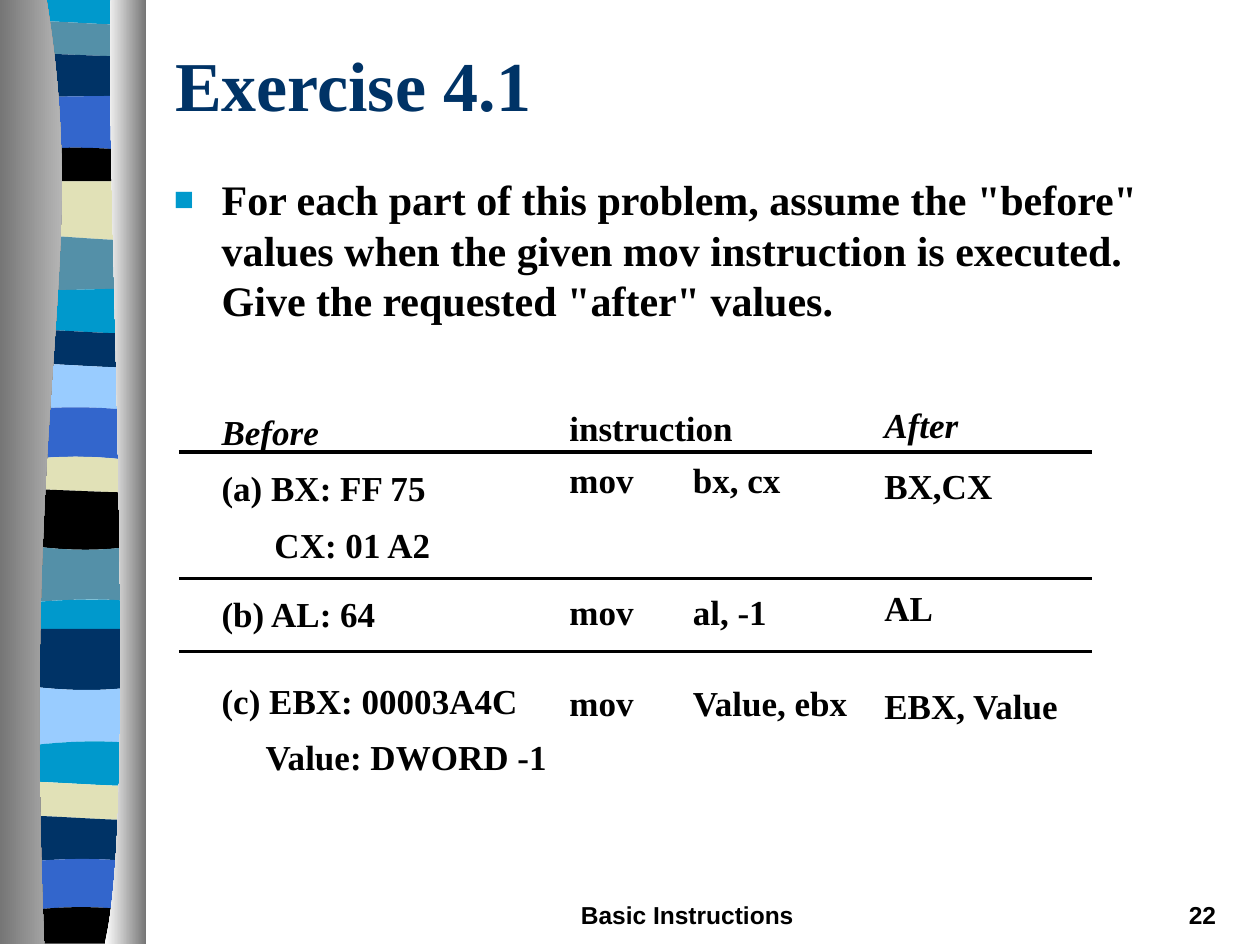
from lxml import etree
from pptx import Presentation
from pptx.dml.color import RGBColor
from pptx.enum.shapes import MSO_CONNECTOR, MSO_SHAPE
from pptx.enum.text import MSO_ANCHOR, MSO_AUTO_SIZE, PP_ALIGN
from pptx.oxml.ns import qn
from pptx.util import Inches, Pt

SERIF = "Times New Roman"
NAVY, BLUE, SKY, CYAN = "003366", "3366CC", "99CCFF", "0099CC"
TEAL, SAND, BLACK, GREY, WHITE = "5490A8", "E1E1B7", "000000", "767676", "FFFFFF"
color = RGBColor.from_string


def add_outline(points, curve_starts):
    """Add a closed freeform; three segments from each curve start form one Bezier curve."""
    corners = [(Inches(x), Inches(y)) for x, y in points]
    builder = slide.shapes.build_freeform(*corners[0])
    builder.add_line_segments(corners[1:], close=True)
    shape = builder.convert_to_shape()
    segments = list(shape._element.iter(qn("a:lnTo")))
    for start in curve_starts:
        curve = etree.Element(qn("a:cubicBezTo"))
        segments[start].addprevious(curve)
        for segment in segments[start:start + 3]:
            curve.append(segment[0])
            segment.getparent().remove(segment)
    shape.shadow.inherit = False
    shape.line.fill.background()
    return shape


def style(paragraph, text, size, hex_color=BLACK, name=SERIF, italic=False):
    paragraph.text = text
    font = paragraph.font
    font.name, font.size, font.bold, font.italic = name, Pt(size), True, italic
    font.color.rgb = color(hex_color)


presentation = Presentation()
presentation.slide_width, presentation.slide_height = Inches(10), Inches(7.5)
slide = presentation.slides.add_slide(presentation.slide_layouts[1])

# Ribbon stripes: colour, then top edge at the left, the bend of its middle, at the right
stripes = [
    (CYAN, 0, 0, 0), (TEAL, 0.16, 0, 0.2), (NAVY, 0.42, 0, 0.45),
    (BLUE, 0.77, 0, 0.76), (BLACK, 1.21, -0.05, 1.21), (SAND, 1.44, 0, 1.44),
    (TEAL, 1.86, 0, 1.91), (CYAN, 2.31, 0, 2.29), (NAVY, 2.61, 0, 2.65),
    (SKY, 2.88, 0, 2.92), (BLUE, 3.27, -0.05, 3.27), (SAND, 3.67, -0.06, 3.67),
    (BLACK, 3.88, 0, 3.91), (TEAL, 4.3, 0.07, 4.32), (CYAN, 4.8, -0.04, 4.78),
    (NAVY, 4.99, 0, 4.99), (SKY, 5.42, 0.06, 5.44), (CYAN, 5.94, -0.05, 5.91),
    (SAND, 6.2, 0, 6.24), (NAVY, 6.47, 0, 6.51), (BLUE, 6.86, -0.05, 6.85),
    (BLACK, 7.25, -0.06, 7.24), (None, 7.49, 0, 7.49),
]
edges = [[(0.05, left), (0.42, left + bend), (0.78, right + bend), (1.15, right)]
         for _, left, bend, right in stripes]
for (fill, *_), top, bottom in zip(stripes, edges, edges[1:]):
    stripe = add_outline(top + bottom[::-1], (0, 4))
    stripe.fill.solid()
    stripe.fill.fore_color.rgb = color(fill)

# Shaded columns on both sides of the ribbon: Bezier edge, outer side, gradient
columns = [
    ([(0.37, 0), (0.72, 2.16), (0.17, 2.96), (0.35, 7.49)], 0, GREY, "D3D3D3"),
    ([(0.88, 0), (0.83, 1.25), (1.11, 6.46), (0.83, 7.49)], 1.16, WHITE, GREY),
]
for edge, outer, start, end in columns:
    column = add_outline(edge + [(outer, 7.49), (outer, 0)], (0,))
    column.fill.gradient()
    column.fill.gradient_angle = 0
    for stop, hex_color in zip(column.fill.gradient_stops, (start, end)):
        stop.color.rgb = color(hex_color)

# Title
title = slide.shapes.title
title.left, title.top, title.width, title.height = map(Inches, (1.29, 0.25, 8.5, 0.83))
title.text_frame.vertical_anchor = MSO_ANCHOR.MIDDLE
title.text_frame.auto_size = MSO_AUTO_SIZE.NONE
paragraph = title.text_frame.paragraphs[0]
paragraph.alignment = PP_ALIGN.LEFT
style(paragraph, "Exercise 4.1", 40, NAVY)

# Task with a square bullet
body = slide.placeholders[1]
body.left, body.top, body.width, body.height = map(Inches, (1.28, 1.33, 7.97, 1.42))
body.text_frame.auto_size = MSO_AUTO_SIZE.NONE
paragraph = body.text_frame.paragraphs[0]
paragraph.space_before = Pt(0)
properties = paragraph._p.get_or_add_pPr()
properties.set("marL", str(Inches(0.38)))
properties.set("indent", str(-Inches(0.38)))
bullet_color = etree.SubElement(properties, qn("a:buClr"))
etree.SubElement(bullet_color, qn("a:srgbClr"), val=CYAN)
etree.SubElement(properties, qn("a:buSzPct"), val="80000")
etree.SubElement(properties, qn("a:buFont"), typeface="Arial")
etree.SubElement(properties, qn("a:buChar"), char="■")
style(paragraph, 'For each part of this problem, assume the "before" values when the given '
      'mov instruction is executed. Give the requested "after" values.', 24)

# White panel that carries the first column, text boxes for the other two
panel = slide.shapes.add_shape(
    MSO_SHAPE.RECTANGLE, *map(Inches, (1.25, 3.09, 4.42, 3.83)))
panel.shadow.inherit = False
panel.fill.solid()
panel.fill.fore_color.rgb = color(WHITE)
panel.line.fill.background()
instructions = slide.shapes.add_textbox(*map(Inches, (4.42, 3.09, 3.42, 3.33)))
results = slide.shapes.add_textbox(*map(Inches, (6.92, 3, 2.67, 3.75)))

# Exercise columns: lines of text, line spacing, indent, space before, italic
exercise = [
    (panel, [
        ("Before", 1.35, 0.41, 0, True),
        ("(a) BX: FF 75", 1.35, 0.41, 0, False),
        ("CX: 01 A2", 1.35, 0.83, 0, False),
        ("(b) AL: 64", 1.65, 0.41, 0, False),
        ("(c) EBX: 00003A4C", 2.05, 0.41, 0, False),
        ("Value: DWORD -1", 1.35, 0.76, 0, False)]),
    (instructions, [
        ("instruction", 1.25, 0, 0, False),
        ("mov\tbx, cx", 1.25, 0, 0, False),
        ("mov\tal, -1", 1.55, 0, 38.5, False),
        ("mov\tValue, ebx", 2.15, 0, 0, False)]),
    (results, [
        ("After", 1.45, 0, 0, True),
        ("BX,CX", 1.45, 0, 0, False),
        ("AL", 1.45, 0, 35, False),
        ("EBX, Value", 2.35, 0, 0, False)]),
]
for shape, lines in exercise:
    frame = shape.text_frame
    frame.word_wrap = True
    frame.vertical_anchor = MSO_ANCHOR.TOP
    for number, (text, spacing, indent, before, italic) in enumerate(lines):
        paragraph = frame.add_paragraph() if number else frame.paragraphs[0]
        paragraph.alignment = PP_ALIGN.LEFT
        paragraph.line_spacing = spacing
        paragraph.space_before = Pt(before)
        properties = paragraph._p.get_or_add_pPr()
        properties.set("marL", str(Inches(indent)))
        if "\t" in text:
            tabs = etree.SubElement(properties, qn("a:tabLst"))
            etree.SubElement(tabs, qn("a:tab"), pos=str(Inches(0.98)), algn="l")
        style(paragraph, text, 20, italic=italic)

# Rules between the rows
for y, width in ((3.59, 2.25), (4.59, 1.5), (5.17, 1.5)):
    rule = slide.shapes.add_connector(
        MSO_CONNECTOR.STRAIGHT, Inches(1.42), Inches(y), Inches(8.67), Inches(y))
    rule.line.color.rgb = color(BLACK)
    rule.line.width = Pt(width)
    etree.SubElement(rule._element.spPr, qn("a:effectLst"))

# Footer and slide number
for text, left, width, alignment in (
        ("Basic Instructions", 3.58, 3.75, PP_ALIGN.CENTER),
        ("22", 7.67, 2.08, PP_ALIGN.RIGHT)):
    footer = slide.shapes.add_textbox(Inches(left), Inches(7.09), Inches(width), Inches(0.25))
    footer.text_frame.word_wrap = True
    paragraph = footer.text_frame.paragraphs[0]
    paragraph.alignment = alignment
    style(paragraph, text, 14, name="Arial")

presentation.save("out.pptx")
